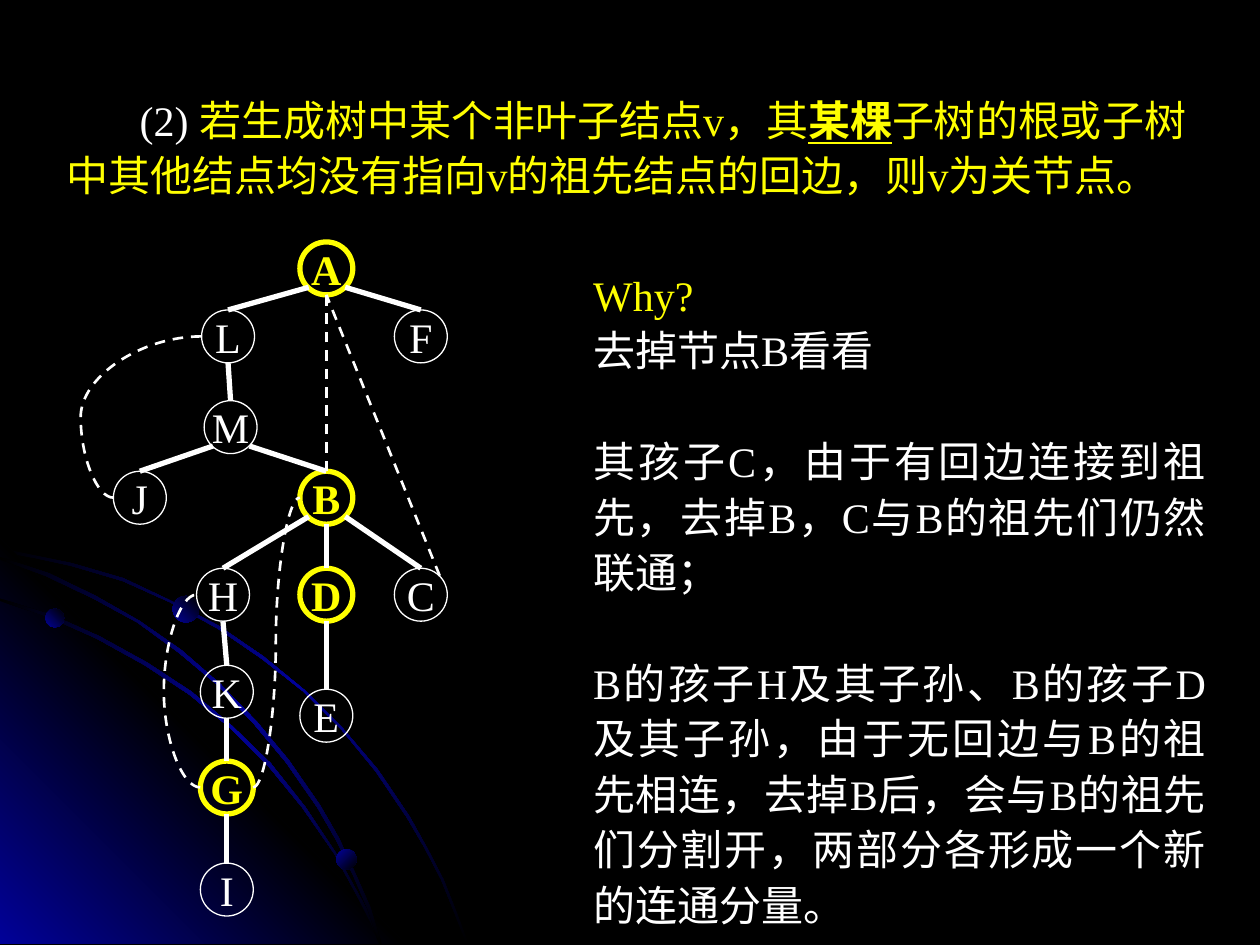
import pptx
import pptx.dml.color
import pptx.enum.dml
import pptx.enum.shapes
import pptx.enum.text
import pptx.oxml
import pptx.oxml.ns
import pptx.util

SCALE = 9144  # EMU in one px, 100 px to the inch
COLORS = {"black": "000000", "blue": "010199", "white": "FFFFFF", "yellow": "FFFF00"}
NODE_SIZE = 42
ANCHORS = {"n": (21, 0), "ne": (36, 6), "e": (42, 21), "se": (36, 36),
           "s": (21, 42), "sw": (7, 36), "w": (0, 21)}

TRIANGLE = [(322, 749), (0, 749), (0, 427)]
ARCS = [
    [(57, 447), (28, 441), (0, 435), (0, 438), (28, 443), (56, 449), (97, 461), (135, 478),
     (173, 499), (208, 523), (241, 549), (271, 579), (298, 612), (323, 649), (337, 673),
     (350, 698), (360, 723), (370, 749), (372, 749), (362, 723), (352, 698), (339, 673),
     (325, 648), (300, 611), (272, 578), (242, 548), (209, 521), (174, 497), (136, 477),
     (98, 459)],
    [(285, 714), (294, 732), (301, 749), (303, 749), (296, 730), (286, 712), (266, 676),
     (242, 640), (215, 606), (184, 576), (152, 549), (117, 526), (79, 505), (41, 488),
     (0, 475), (0, 477), (39, 490), (77, 507), (115, 528), (150, 551), (183, 578),
     (213, 608), (240, 641), (265, 677)],
    [(0, 442), (0, 444), (36, 457), (74, 475), (109, 494), (142, 518), (173, 544),
     (202, 575), (227, 605), (252, 641), (267, 667), (280, 694), (292, 722), (301, 749),
     (303, 749), (294, 720), (282, 693), (269, 665), (254, 639), (229, 603), (204, 573),
     (175, 543), (144, 516), (111, 493), (76, 473), (39, 455)],
]
DOTS = [(36, 483, 15, 315), (267, 674, 16, 45), (137, 473, 21, 315)]  # x, y, size, angle

NODES = {"A": (238, 192), "B": (238, 374), "L": (160, 246), "M": (162, 318),
         "F": (313, 246), "J": (90, 374), "D": (238, 451), "C": (313, 451),
         "H": (156, 451), "K": (159, 528), "G": (159, 604), "I": (159, 685),
         "E": (238, 547)}
CUT_NODES = "ABDG"
TREE_EDGES = ["A sw L", "A se F", "L s M", "M sw J", "M se B", "B sw H", "B s D",
              "B se C", "D s E", "H s K", "K s G", "G s I"]
BACK_EDGES = ["B n A s", "C ne A s"]
BACK_CURVES = [("J w L w", 64), ("G w H w", 130), ("G e B w", 219)]  # ends, x of the bend

TIMES = {"name": "Times New Roman", "size": pptx.util.Pt(24)}
GAP = pptx.util.Pt(31.7)
JUSTIFY = pptx.enum.text.PP_ALIGN.JUSTIFY


def px(length):
    return pptx.util.Emu(round(length * SCALE))


def rgb(color):
    return pptx.dml.color.RGBColor.from_string(COLORS[color])


def apply(target, values):
    for name, value in values.items():
        setattr(target, name, value)


def anchor(node, side):
    return tuple(a + b for a, b in zip(NODES[node], ANCHORS[side]))


class Painter:
    def __init__(self, slide):
        self.slide = slide
        self.shapes = slide.shapes

    def background(self, color):
        fill = self.slide.background.fill
        fill.solid()
        fill.fore_color.rgb = rgb(color)

    def gradient(self, shape, colors, angle):
        """Fill a borderless shape with evenly spaced colours, angle clockwise."""
        shape.shadow.inherit = False
        shape.line.fill.background()
        shape.fill.background()
        step = 100000 // (len(colors) - 1)
        stops = "".join(f'<a:gs pos="{i * step}"><a:srgbClr val="{COLORS[color]}"/></a:gs>'
                        for i, color in enumerate(colors))
        fill = pptx.oxml.parse_xml(
            f'<a:gradFill {pptx.oxml.ns.nsdecls("a")} rotWithShape="1"><a:gsLst>{stops}'
            f'</a:gsLst><a:lin ang="{angle * 60000}" scaled="0"/></a:gradFill>')
        properties = shape._element.spPr
        properties.replace(properties.find(pptx.oxml.ns.qn("a:noFill")), fill)

    def outline(self, points, colors, angle):
        builder = self.shapes.build_freeform(*points[0], scale=SCALE)
        builder.add_line_segments(points[1:], close=True)
        self.gradient(builder.convert_to_shape(), colors, angle)

    def ellipse(self, x, y, size):
        return self.shapes.add_shape(pptx.enum.shapes.MSO_SHAPE.OVAL,
                                     px(x), px(y), px(size), px(size))

    def dot(self, x, y, size, angle):
        self.gradient(self.ellipse(x, y, size), ["blue", "black"], angle)

    def span(self, para, text, color, **font):
        span = para.add_run()
        span.text = text
        apply(span.font, TIMES | font)
        span.font.color.rgb = rgb(color)

    def node(self, name, marked):
        color = "yellow" if marked else "white"
        circle = self.ellipse(*NODES[name], NODE_SIZE)
        circle.shadow.inherit = False
        circle.fill.background()
        circle.line.color.rgb = rgb(color)
        circle.line.width = pptx.util.Pt(3 if marked else 0.75)
        apply(circle.text_frame, {"word_wrap": False,
                                  "vertical_anchor": pptx.enum.text.MSO_ANCHOR.MIDDLE})
        para = circle.text_frame.paragraphs[0]
        para.alignment = pptx.enum.text.PP_ALIGN.CENTER
        self.span(para, name, color, bold=marked)

    def edge(self, start, end, dashed=False, bend=None):
        """Join two points; bend is the x that a curved edge swings out to."""
        kinds = pptx.enum.shapes.MSO_CONNECTOR
        kind = kinds.STRAIGHT if bend is None else kinds.CURVE
        edge = self.shapes.add_connector(kind, *map(px, start + end))
        edge.line.color.rgb = rgb("white")
        edge.line.width = pptx.util.Pt(1.5 if dashed else 3)
        if dashed:
            edge.line.dash_style = pptx.enum.dml.MSO_LINE.DASH
        properties = edge._element.spPr
        properties.append(pptx.oxml.parse_xml(
            f'<a:effectLst {pptx.oxml.ns.nsdecls("a")}/>'))
        if bend is not None:
            ratio = round((bend - start[0]) / (end[0] - start[0]) * 100000)
            guides = properties.find(pptx.oxml.ns.qn("a:prstGeom")).get_or_add_avLst()
            guides.append(pptx.oxml.parse_xml(
                f'<a:gd {pptx.oxml.ns.nsdecls("a")} name="adj1" fmla="val {ratio}"/>'))

    def text(self, x, y, width, height, paragraphs, indent=0):
        """Write paragraphs, each a dict of format values and a list of spans."""
        box = self.shapes.add_textbox(px(x), px(y), px(width), px(height))
        box.text_frame.word_wrap = True
        for i, (layout, spans) in enumerate(paragraphs):
            para = box.text_frame.add_paragraph() if i else box.text_frame.paragraphs[0]
            apply(para, {"line_spacing": 1.1} | layout)
            if indent:
                para._p.get_or_add_pPr().set("indent", str(px(indent)))
            for text, color, font in spans:
                self.span(para, text, color, **font)


def main():
    deck = pptx.Presentation()
    deck.slide_width, deck.slide_height = px(1000), px(750)
    painter = Painter(deck.slides.add_slide(deck.slide_layouts[6]))
    painter.background("black")

    first, *others = ARCS
    painter.outline(first, ["black", "blue", "black"], 45)
    painter.outline(TRIANGLE, ["blue", "black", "blue"], 315)
    for arc in others:
        painter.outline(arc, ["black", "blue", "black"], 45)
    for dot in DOTS:
        painter.dot(*dot)

    painter.text(43, 66, 934, 99, [({}, [
        ("(2) ", "white", {}),
        ("若生成树中某个非叶子结点v，其", "yellow", {}),
        ("某棵", "yellow", {"name": "Noto Sans CJK SC", "bold": True, "underline": True}),
        ("子树的根或子树中其他结点均没有指向v的祖先结点的回边，则v为关节点。", "yellow", {}),
    ])], indent=58)
    separate = {"alignment": JUSTIFY, "space_before": GAP}
    painter.text(461, 205, 506, 629, [
        ({}, [("Why?", "yellow", {})]),
        ({}, [("去掉节点B看看", "white", {})]),
        (separate, [("其孩子C，由于有回边连接到祖先，去掉B，C与B的祖先们仍然联通；", "white", {})]),
        (separate, [("B的孩子H及其子孙、B的孩子D及其子孙，由于无回边与B的祖先相连，"
                     "去掉B后，会与B的祖先们分割开，两部分各形成一个新的连通分量。", "white", {})]),
    ])

    for name in NODES:
        painter.node(name, name in CUT_NODES)
    for parent, side, child in map(str.split, TREE_EDGES):
        painter.edge(anchor(parent, side), anchor(child, "n"))
    for ends, bend in [(ends, None) for ends in BACK_EDGES] + BACK_CURVES:
        start, start_side, end, end_side = ends.split()
        painter.edge(anchor(start, start_side), anchor(end, end_side), True, bend)
    deck.save("out.pptx")


if __name__ == "__main__":
    main()
